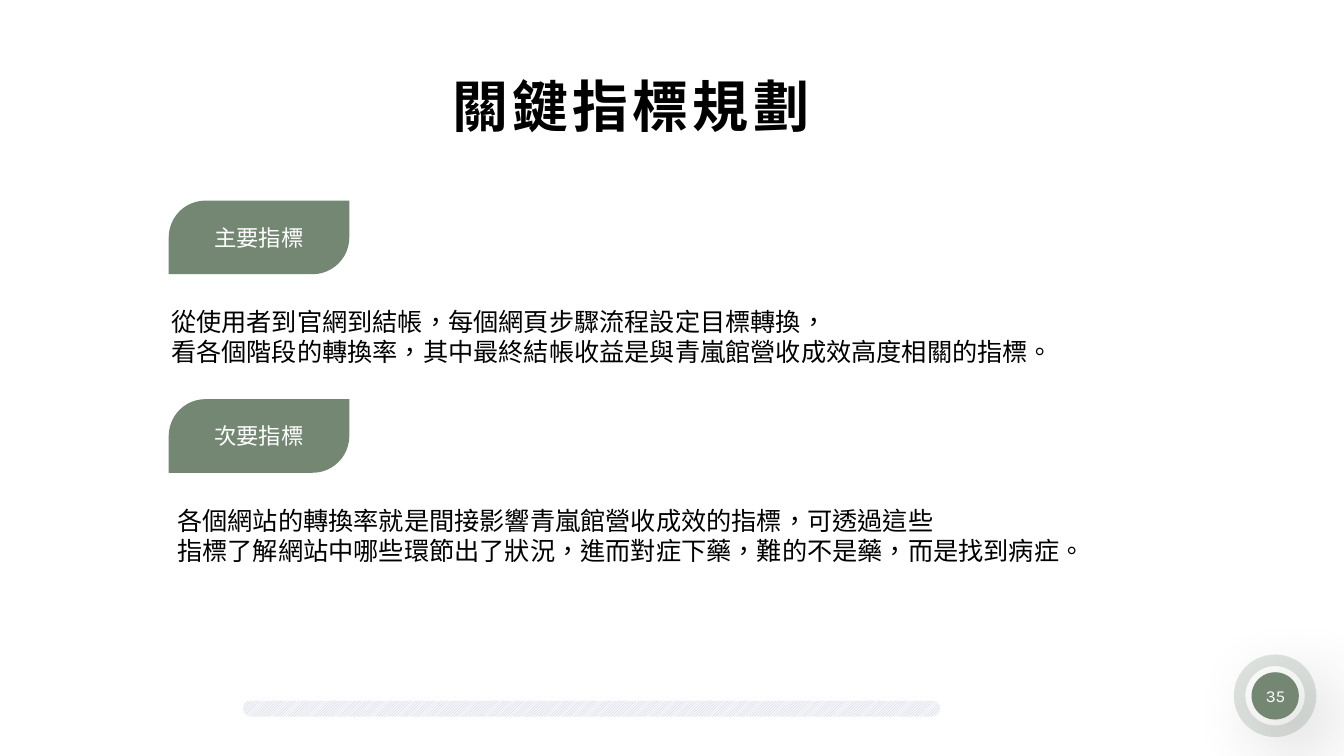
from lxml.etree import SubElement
from pptx import Presentation
from pptx.dml.color import RGBColor
from pptx.enum.dml import MSO_PATTERN as Pattern
from pptx.enum.shapes import MSO_SHAPE as Preset
from pptx.enum.text import MSO_ANCHOR as Anchor, PP_ALIGN as Align
from pptx.oxml.ns import qn
from pptx.util import Pt

GREEN, WHITE, BLACK = "748773", "FFFFFF", "000000"

# Label, label top, body left, body top, body width, body height, wrap, body lines
INDICATORS = [
    ("主要指標", 143.3, 115.2, 215.3, 649.4, 51.1, True,
     ["從使用者到官網到結帳，每個網頁步驟流程設定目標轉換，",
      "看各個階段的轉換率，其中最終結帳收益是與青嵐館營收成效高度相關的指標。"]),
    ("次要指標", 285.1, 119.5, 357.1, 668.9, 72.7, False,
     ["各個網站的轉換率就是間接影響青嵐館營收成效的指標，可透過這些",
      "指標了解網站中哪些環節出了狀況，進而對症下藥，難的不是藥，而是找到病症。"]),
]


def color(value):
    return RGBColor.from_string(value)


def write(shape, lines, font="Karla", size=18, fill=BLACK, bold=False,
          align=Align.LEFT, anchor=Anchor.TOP, wrap=True, spacing=0):
    frame = shape.text_frame
    frame.word_wrap = wrap
    frame.vertical_anchor = anchor
    frame.text = "\n".join(lines)
    for paragraph in frame.paragraphs:
        paragraph.alignment = align
        for run in paragraph.runs:
            run.font.name = font
            run.font.size = Pt(size)
            run.font.bold = bold
            run.font.color.rgb = color(fill)
            properties = run._r.get_or_add_rPr()
            properties.set("lang", "zh-TW")
            if spacing:
                properties.set("spc", str(spacing * 100))


def place(shape, left, top, width, height):
    shape.left, shape.top = Pt(left), Pt(top)
    shape.width, shape.height = Pt(width), Pt(height)


def add_preset(slide, preset, box, fill=GREEN, adjustments=()):
    shape = slide.shapes.add_shape(preset, *map(Pt, box))
    shape.shadow.inherit = False
    shape.line.fill.background()
    shape.fill.solid()
    shape.fill.fore_color.rgb = color(fill)
    for index, value in enumerate(adjustments):
        shape.adjustments[index] = value
    return shape


def add_text(slide, box, lines, **text_format):
    write(slide.shapes.add_textbox(*map(Pt, box)), lines, **text_format)


def set_alpha(color_element, percent):
    SubElement(color_element, qn("a:alpha"), val=str(percent * 1000))


def add_glow_shadow(shape, blur, distance, angle, opacity):
    effects = shape._element.spPr.find(qn("a:effectLst"))
    shadow = SubElement(effects, qn("a:outerShdw"), blurRad=str(Pt(blur)),
                        dist=str(Pt(distance)), dir=str(angle * 60000),
                        algn="ctr", rotWithShape="0")
    set_alpha(SubElement(shadow, qn("a:srgbClr"), val=BLACK), opacity)


def add_page_badge(slide, number):
    ring = add_preset(slide, Preset.DONUT, (881.3, 467.5, 59, 59), adjustments=[0.14])
    set_alpha(ring._element.spPr.find(qn("a:solidFill"))[0], 22)
    disc = add_preset(slide, Preset.OVAL, (894, 480.2, 33.8, 33.8))
    add_glow_shadow(disc, blur=59, distance=21, angle=45, opacity=40)
    add_text(slide, (887, 486, 48.2, 21.6), [number], size=12, fill=WHITE,
             align=Align.CENTER)


def add_hatched_bar(slide, box):
    bar = add_preset(slide, Preset.ROUNDED_RECTANGLE, box, adjustments=[0.5])
    bar.fill.patterned()
    bar.fill.pattern = Pattern.LIGHT_UPWARD_DIAGONAL
    bar.fill.fore_color.rgb = color("CCC3DB")
    bar.fill.back_color.rgb = color("F5F8F9")


def add_label(slide, text, top):
    label = add_preset(slide, Preset.ROUND_2_DIAG_RECTANGLE,
                       (120.5, top, 129, 52.6), adjustments=[0.5, 0])
    write(label, [text], font="Roboto Condensed", size=16, fill=WHITE,
          align=Align.CENTER, anchor=Anchor.MIDDLE)


def main():
    presentation = Presentation()
    presentation.slide_width, presentation.slide_height = Pt(960), Pt(540)
    slide = presentation.slides.add_slide(presentation.slide_layouts[5])

    # Title
    title = slide.shapes.title
    place(title, 316.1, 47.5, 275, 55.4)
    write(title, ["關鍵指標規劃"], font="Roboto", size=40, bold=True,
          wrap=False, spacing=3)

    # Page number and footer bar
    add_page_badge(slide, "35")
    add_hatched_bar(slide, (173.5, 500.4, 498.2, 11.5))

    # Indicators
    for label, label_top, left, top, width, height, wrap, lines in INDICATORS:
        add_label(slide, label, label_top)
        add_text(slide, (left, top, width, height), lines, wrap=wrap)

    presentation.save("out.pptx")


if __name__ == "__main__":
    main()
